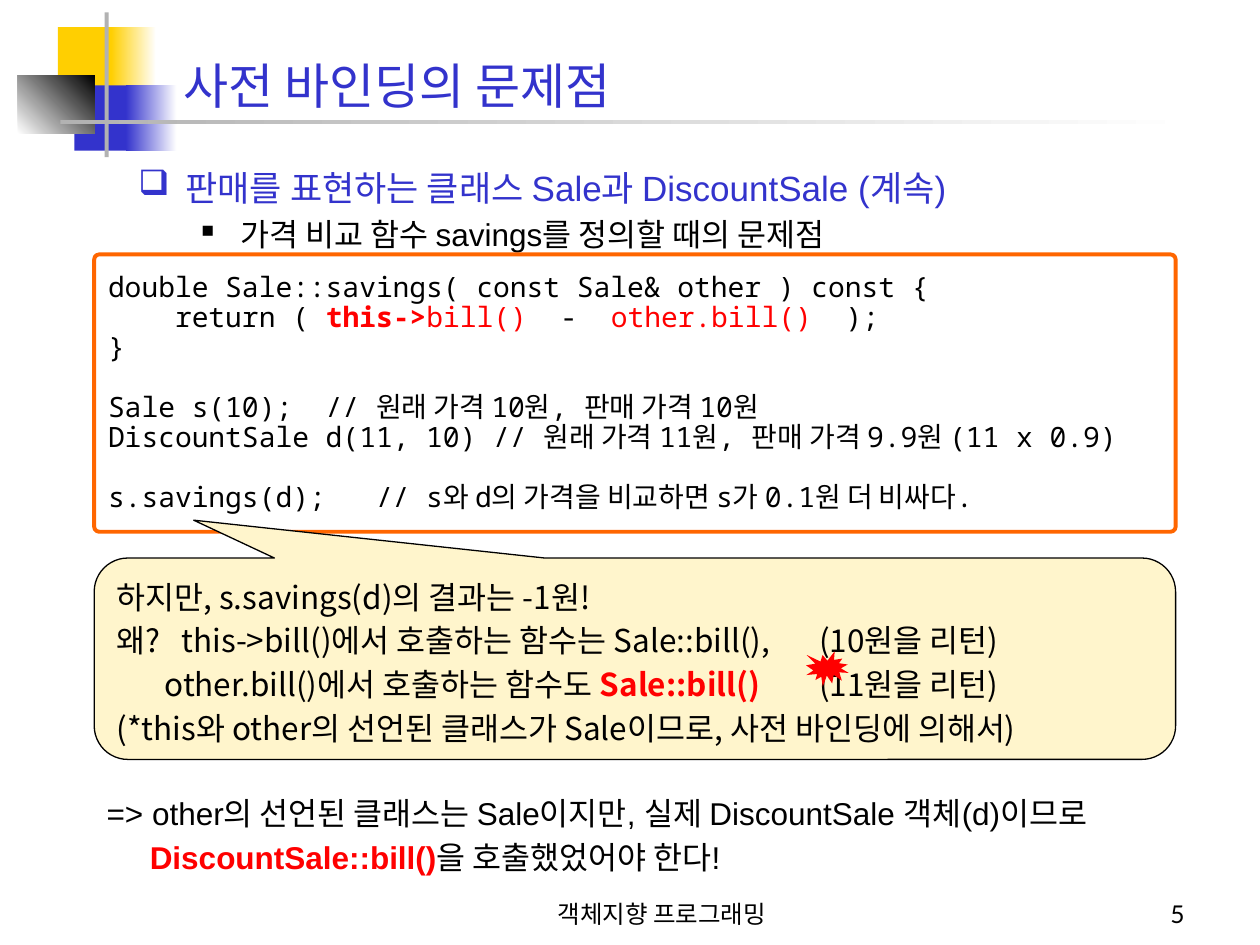
from dataclasses import dataclass

from lxml.etree import SubElement
from pptx import Presentation
from pptx.dml.color import RGBColor
from pptx.enum.shapes import MSO_SHAPE as Shape
from pptx.enum.text import MSO_ANCHOR as Anchor, PP_ALIGN as Align
from pptx.oxml.ns import qn
from pptx.util import Cm, Pt


@dataclass(frozen=True)
class Theme:
    blue: str = "3333CC"
    yellow: str = "FFCF01"
    gray: str = "B2B2B2"
    white: str = "FFFFFF"
    black: str = "000000"
    red: str = "FF0000"
    orange: str = "FF6600"
    cream: str = "FFF5CC"
    korean: str = "Noto Sans CJK KR"
    latin: str = "Arial"
    mono: str = "Noto Sans Mono"
    footer_font: str = "Lato"
    title: float = 28
    heading: float = 20
    body: float = 18
    code: float = 16
    footer: float = 14
    body_line: float = 21.5
    code_line: float = 17.1
    gap: float = 3.6


THEME = Theme()
RED = {"color": THEME.red}
RED_BOLD = {"color": THEME.red, "bold": True}


def add_box(slide, kind, box, fill=None, fade_to=None, angle=0, line=None, width=0):
    """Add a preset shape with a solid, fading or empty fill."""
    shape = slide.shapes.add_shape(kind, *(Cm(value) for value in box))
    shape.shadow.inherit = False
    if fade_to:
        shape.fill.gradient()
        shape.fill.gradient_angle = angle
        for stop, color in zip(shape.fill.gradient_stops, (fill, fade_to)):
            stop.color.rgb = RGBColor.from_string(color)
    elif fill:
        shape.fill.solid()
        shape.fill.fore_color.rgb = RGBColor.from_string(fill)
    else:
        shape.fill.background()
    if line:
        shape.line.color.rgb = RGBColor.from_string(line)
        shape.line.width = Pt(width)
    else:
        shape.line.fill.background()
    return shape


def add_text_box(slide, box):
    return slide.shapes.add_textbox(*(Cm(value) for value in box))


def set_frame(shape, anchor=Anchor.TOP, wrap=True, top=0.13, bottom=0.13):
    frame = shape.text_frame
    frame.word_wrap = wrap
    frame.vertical_anchor = anchor
    frame.margin_top, frame.margin_bottom = Cm(top), Cm(bottom)
    return frame


def add_bullet(paragraph, character, color, indent, hanging, percent=100):
    properties = paragraph._p.get_or_add_pPr()
    properties.set("marL", str(Cm(indent)))
    properties.set("indent", str(-Cm(hanging)))
    SubElement(SubElement(properties, qn("a:buClr")), qn("a:srgbClr"), val=color)
    SubElement(properties, qn("a:buSzPct"), val=str(percent * 1000))
    SubElement(properties, qn("a:buChar"), char=character)


def add_paragraph(frame, runs, size, font, color=THEME.black, align=Align.LEFT,
                  line=None, before=0, tabs=(), bullet=None):
    """Write one paragraph; runs is a string or a list of (text, changes)."""
    first = not frame.paragraphs[0].runs
    paragraph = frame.paragraphs[0] if first else frame.add_paragraph()
    if bullet:
        add_bullet(paragraph, **bullet)
    if tabs:
        tab_list = SubElement(paragraph._p.get_or_add_pPr(), qn("a:tabLst"))
        for position in tabs:
            SubElement(tab_list, qn("a:tab"), pos=str(Cm(position)), algn="l")
    paragraph.alignment = align
    paragraph.space_before = Pt(0 if first else before)
    if line:
        paragraph.line_spacing = Pt(line)
    for text, changes in [(runs, {})] if isinstance(runs, str) else runs:
        run = paragraph.add_run()
        run.text = text
        run.font.size = Pt(size)
        run.font.bold = changes.get("bold", False)
        run.font.color.rgb = RGBColor.from_string(changes.get("color", color))
        run.font.name = font
        SubElement(run._r.get_or_add_rPr(), qn("a:ea"), typeface=THEME.korean)


def draw_ornament(slide, left, top):
    """Coloured squares and the two rules beside the title."""
    parts = [
        ((0.81, 0.3, 1.22, 1.32), THEME.yellow, None, 0),
        ((1.88, 0.3, 0.91, 1.32), THEME.yellow, THEME.white, 0),
        ((1.14, 1.47, 1.17, 1.32), THEME.blue, None, 0),
        ((2.18, 1.47, 1.02, 1.32), THEME.blue, THEME.white, 0),
        ((0, 1.27, 1.55, 1.17), THEME.white, THEME.black, 45),
        ((1.75, 0, 0.08, 2.92), THEME.gray, None, 0),
        ((0.86, 2.18, 22.86, 0.08), THEME.gray, THEME.white, 0),
    ]
    for (x, y, width, height), fill, fade_to, angle in parts:
        add_box(slide, Shape.RECTANGLE, (left + x, top + y, width, height),
                fill, fade_to, angle)


def draw_line(slide, box, text, size, font, color=THEME.black, align=Align.LEFT,
              bottom=0.13):
    """One line that stands on the bottom of its box."""
    frame = set_frame(add_text_box(slide, box), Anchor.BOTTOM, bottom=bottom)
    add_paragraph(frame, text, size, font, color, align)


def draw_outline(slide, box):
    frame = set_frame(add_text_box(slide, box), top=0.18)
    add_paragraph(frame, "판매를 표현하는 클래스 Sale과 DiscountSale (계속)",
                  THEME.heading, THEME.latin, THEME.blue, line=24,
                  bullet=dict(character="❑", color=THEME.blue, indent=0.95, hanging=0.95))
    add_paragraph(frame, "가격 비교 함수 savings를 정의할 때의 문제점",
                  THEME.body, THEME.latin, line=THEME.body_line, before=THEME.gap,
                  bullet=dict(character="■", color=THEME.black, indent=2.06,
                              hanging=0.79, percent=55))


def draw_code(slide, box):
    shape = add_box(slide, Shape.ROUNDED_RECTANGLE, box, line=THEME.orange, width=2.25)
    shape.adjustments[0] = 0.018
    frame = set_frame(shape, Anchor.MIDDLE, wrap=False)
    blocks = [
        ["double Sale::savings( const Sale& other ) const {",
         [("    return ( ", {}), ("this->", RED_BOLD), ("bill()", RED), ("  -  ", {}),
          ("other.bill()", RED), ("  );", {})],
         "}"],
        ["Sale s(10);  // 원래 가격 10원, 판매 가격 10원",
         "DiscountSale d(11, 10) // 원래 가격 11원, 판매 가격 9.9원 (11 x 0.9)"],
        ["s.savings(d);   // s와 d의 가격을 비교하면 s가 0.1원 더 비싸다."],
    ]
    for block in blocks:
        for index, runs in enumerate(block):
            add_paragraph(frame, runs, THEME.code, THEME.mono, line=THEME.code_line,
                          before=0 if index else THEME.code_line)


def draw_callout(slide, box):
    left, top, width, height = box
    shape = add_box(slide, Shape.ROUNDED_RECTANGULAR_CALLOUT, box, THEME.cream,
                    line=THEME.black, width=0.75)
    for index, value in enumerate((-0.408, -0.688, 0.167)):
        shape.adjustments[index] = value
    frame = set_frame(shape, top=0.2)
    result_tab = 14.17
    lines = [
        ("하지만, s.savings(d)의 결과는 -1원!", ()),
        ("왜?\tthis->bill()에서 호출하는 함수는 Sale::bill(),\t(10원을 리턴)",
         (1.31, result_tab)),
        ([("\tother.bill()에서 호출하는 함수도 ", {}), ("Sale::bill()", RED_BOLD),
          ("\t(11원을 리턴)", {})], (0.97, result_tab)),
        ("(*this와 other의 선언된 클래스가 Sale이므로, 사전 바인딩에 의해서)", ()),
    ]
    for runs, tabs in lines:
        add_paragraph(frame, runs, THEME.body, THEME.korean, line=THEME.body_line,
                      before=THEME.gap, tabs=tabs)
    # Burst that marks the wrong call
    add_box(slide, Shape.EXPLOSION1, (left + 14.35, top + 1.88, 0.86, 0.71), THEME.red)


def draw_conclusion(slide, box):
    frame = set_frame(add_text_box(slide, box), wrap=False, top=0.17)
    lines = [
        "=> other의 선언된 클래스는 Sale이지만, 실제 DiscountSale 객체(d)이므로",
        [("\tDiscountSale::bill()", RED_BOLD), ("을 호출했었어야 한다!", {})],
    ]
    for runs in lines:
        add_paragraph(frame, runs, THEME.body, THEME.latin, line=THEME.body_line,
                      before=THEME.gap, tabs=(0.87,))


def main():
    presentation = Presentation()
    presentation.slide_width, presentation.slide_height = Cm(25.4), Cm(19.05)
    slide = presentation.slides.add_slide(presentation.slide_layouts[6])
    # Header
    draw_ornament(slide, 0.36, 0.25)
    draw_line(slide, (3.45, 0.46, 21.64, 1.88), "사전 바인딩의 문제점",
              THEME.title, THEME.korean, THEME.blue, bottom=0.04)
    # Content
    draw_outline(slide, (2.54, 3.18, 22.33, 13.87))
    draw_code(slide, (1.9, 5.13, 21.8, 5.59))
    draw_callout(slide, (1.9, 11.25, 21.8, 4.06))
    draw_conclusion(slide, (1.9, 15.85, 22, 1.96))
    # Footer
    draw_line(slide, (9.32, 17.58, 8.05, 1.27), "객체지향 프로그래밍",
              THEME.footer, THEME.footer_font, align=Align.CENTER)
    draw_line(slide, (18.85, 17.58, 5.28, 1.27), "5",
              THEME.footer, THEME.footer_font, align=Align.RIGHT)
    presentation.save("out.pptx")


if __name__ == "__main__":
    main()
